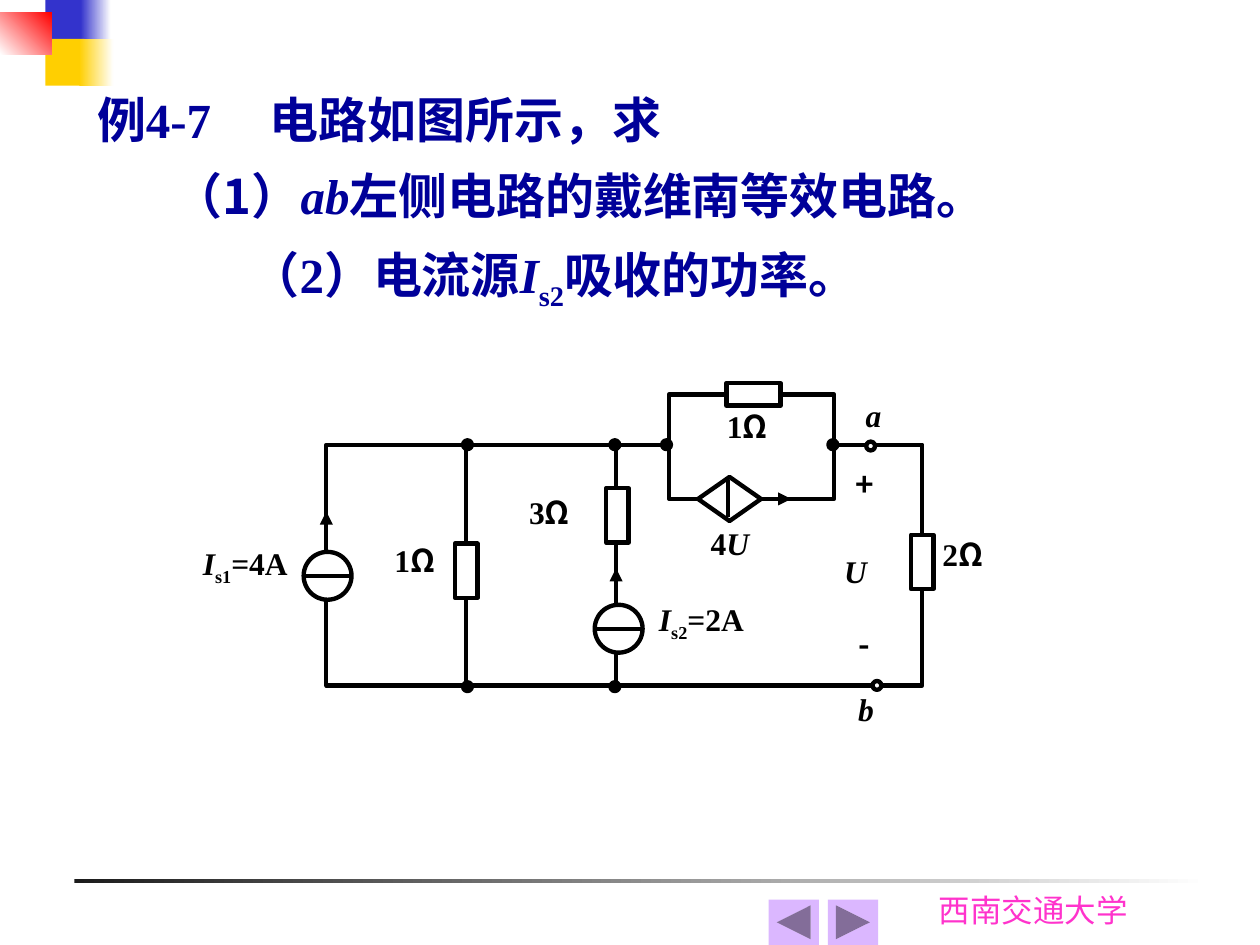
import pptx
import pptx.util
import pptx.dml.color
import pptx.enum.shapes
import pptx.enum.text
import pptx.oxml.ns
from lxml import etree

Inches, Pt = pptx.util.Inches, pptx.util.Pt
SHAPE = pptx.enum.shapes.MSO_SHAPE
ALIGN = pptx.enum.text.PP_ALIGN

COLORS = {"black": "000000", "white": "FFFFFF", "navy": "000099", "pink": "FF33CC",
          "blue": "3333CC", "gold": "FFCF01", "red": "FF0000", "charcoal": "1C1C1C",
          "lilac": "DBB7FF"}
TIMES, CJK = "Times New Roman", "Noto Sans CJK SC"
LINE_WIDTH = 2.5

# Styles of a text run: font, italic, subscript
STYLES = {"n": (TIMES, False, False), "i": (TIMES, True, False),
          "s": (TIMES, False, True), "c": (CJK, False, False)}

INDENT, TAB = 0.61, 1.37
PROBLEM = [
    [("c", "例"), ("n", "4-7\t电路如图所示，"), ("c", "求")],
    [("c", "（1）"), ("i", "ab"), ("n", "左侧电路的戴维南等效电路。")],
    [("n", "（2）电流源"), ("i", "I"), ("s", "s2"), ("n", "吸收的功率。")],
]
FOOTER = "西南交通大学"

# Decoration: left, top, width, height, colours (two make a gradient), angle
DECORATION = [
    (0.59, 6.98, 9, 0.03, ("charcoal", "white"), 0),
    (0.36, 0, 0.32, 0.37, ("blue",), 0),
    (0.64, 0, 0.24, 0.37, ("blue", "white"), 0),
    (0.36, 0.31, 0.31, 0.37, ("gold",), 0),
    (0.63, 0.31, 0.27, 0.37, ("gold", "white"), 0),
    (0, 0.1, 0.41, 0.33, ("white", "red"), 45),
]

# Circuit columns and rows
SOURCE_1, BRANCH_1, BRANCH_2, BRIDGE_L, BRIDGE_R, LOAD = 2.59, 3.7, 4.89, 5.31, 6.62, 7.32
TOP, BOTTOM, BRIDGE_TOP, BRIDGE_BOTTOM = 3.53, 5.44, 3.13, 3.96
BRIDGE_MID = 5.98

LOOPS = [(SOURCE_1, TOP, BRANCH_2, BOTTOM), (BRANCH_2, TOP, LOAD, BOTTOM),
         (BRIDGE_L, BRIDGE_TOP, BRIDGE_R, BRIDGE_BOTTOM)]
RESISTOR, SOURCE, NODE = (0.18, 0.43), (0.38, 0.38), (0.07, 0.07)
# Parts: shape, centre x, centre y, size, fill
PARTS = [
    *[(SHAPE.RECTANGLE, x, y, RESISTOR, "white")
      for x, y in [(BRANCH_1, 4.53), (BRANCH_2 + 0.01, 4.09), (LOAD, 4.46)]],
    (SHAPE.RECTANGLE, BRIDGE_MID, BRIDGE_TOP, RESISTOR[::-1], "white"),
    *[(SHAPE.OVAL, x, y, SOURCE, "white") for x, y in [(2.6, 4.57), (4.91, 4.99)]],
    (SHAPE.DIAMOND, 5.79, BRIDGE_BOTTOM, (0.5, 0.35), "white"),
    *[(SHAPE.OVAL, x, y, NODE, "black")
      for x in (3.71, 4.88) for y in (TOP, 5.45)],
    *[(SHAPE.OVAL, x, TOP, NODE, "black") for x in (5.29, 6.61)],
    *[(SHAPE.OVAL, x, y, NODE, "white") for x, y in [(6.91, 3.54), (6.96, BOTTOM)]],
]
BARS = [(2.42, 4.57, 2.8, 4.57), (4.73, 4.99, 5.11, 4.99), (5.78, 4.1, 5.78, 3.81)]
ARROWS = [(SOURCE_1, 4.25, SOURCE_1, 4.06), (BRANCH_2, 4.71, BRANCH_2, 4.51),
          (6.02, BRIDGE_BOTTOM, 6.28, BRIDGE_BOTTOM)]
# Labels: left, top, width, height, runs
LABELS = [
    (1.61, 4.32, 0.97, 0.59, [("i", "I"), ("s", "s1"), ("n", "=4A")]),
    (5.23, 4.76, 0.97, 0.59, [("i", "I"), ("s", "s2"), ("n", "=2A")]),
    *[(x, y, 0.54, 0.4, [("n", ohms), ("c", "Ω")])
      for x, y, ohms in [(3.13, 4.29, "1"), (7.48, 4.25, "2"),
                         (4.2, 3.91, "3"), (5.77, 3.23, "1")]],
    (5.64, 4.16, 0.62, 0.53, [("n", "4"), ("i", "U")]),
    (6.7, 4.38, 0.62, 0.53, [("i", "U")]),
    (6.87, 3.14, 0.36, 0.66, [("i", "a")]),
    (6.81, 5.48, 0.35, 0.49, [("i", "b")]),
    (6.79, 3.69, 0.29, 0.4, [("c", "+")]),
    (6.81, 4.96, 0.45, 0.39, [("c", "-")]),
]
BUTTONS = [(6.1, SHAPE.ACTION_BUTTON_BACK_OR_PREVIOUS),
           (6.57, SHAPE.ACTION_BUTTON_FORWARD_OR_NEXT)]


def rgb(name):
    return pptx.dml.color.RGBColor.from_string(COLORS[name])


def add_element(parent, tag, **attributes):
    return etree.SubElement(parent, pptx.oxml.ns.qn(tag), attributes)


def add_part(page, kind, left, top, width, height, fill=None, outlined=True):
    shape = page.shapes.add_shape(kind, *map(Inches, (left, top, width, height)))
    shape.shadow.inherit = False
    if fill:
        shape.fill.solid()
        shape.fill.fore_color.rgb = rgb(fill)
    else:
        shape.fill.background()
    if outlined:
        shape.line.color.rgb = rgb("black")
        shape.line.width = Pt(LINE_WIDTH)
    else:
        shape.line.fill.background()
    return shape


def add_wire(page, ends, arrow=False):
    wire = page.shapes.add_connector(pptx.enum.shapes.MSO_CONNECTOR.STRAIGHT,
                                     *map(Inches, ends))
    wire.line.color.rgb = rgb("black")
    wire.line.width = Pt(LINE_WIDTH)
    if arrow:
        add_element(wire.line._get_or_add_ln(), "a:tailEnd", type="triangle")
    add_element(wire._element.spPr, "a:effectLst")


def write_runs(para, runs, size, color, bold=True):
    para.font.size = Pt(size)
    para.font.bold = bold
    para.font.color.rgb = rgb(color)
    for style, text in runs:
        span = para.add_run()
        span.text = text
        font, italic, subscript = STYLES[style]
        span.font.name = font
        span.font.italic = italic
        properties = span.font._element
        add_element(properties, "a:ea", typeface=CJK)
        if subscript:
            properties.set("baseline", "-25000")


def add_text_box(page, left, top, width, height, inset=True):
    box = page.shapes.add_textbox(*map(Inches, (left, top, width, height)))
    frame = box.text_frame
    frame.word_wrap = True
    if not inset:
        frame.margin_left = frame.margin_right = 0
        frame.margin_top = frame.margin_bottom = 0
    return frame.paragraphs[0]


def add_decoration(page):
    for left, top, width, height, colors, angle in DECORATION:
        shape = add_part(page, SHAPE.RECTANGLE, left, top, width, height,
                         colors[0], outlined=False)
        if len(colors) == 2:
            shape.fill.gradient()
            shape.fill.gradient_angle = angle
            for stop, color in zip(shape.fill.gradient_stops, colors):
                stop.color.rgb = rgb(color)
    para = add_text_box(page, 7.35, 7.02, 1.81, 0.4)
    para.font.name = "Karla"
    para.font.size = Pt(18)
    para.font.color.rgb = rgb("pink")
    para.add_run().text = FOOTER


def write_problem(title):
    title.left, title.top, title.width, title.height = map(Inches, (0.67, 0.52, 8.35, 2.01))
    frame = title.text_frame
    frame.vertical_anchor = pptx.enum.text.MSO_ANCHOR.TOP
    frame.auto_size = pptx.enum.text.MSO_AUTO_SIZE.NONE
    for row, runs in enumerate(PROBLEM):
        para = frame.add_paragraph() if row else frame.paragraphs[0]
        para.alignment = ALIGN.JUSTIFY
        para.line_spacing = 1.3
        properties = para._p.get_or_add_pPr()
        properties.set("marL", str(Inches(INDENT * row)))
        if row == 0:
            tabs = add_element(properties, "a:tabLst")
            add_element(tabs, "a:tab", pos=str(Inches(TAB)), algn="l")
        write_runs(para, runs, 28, "navy")


def draw_circuit(page):
    for left, top, right, bottom in LOOPS:
        add_part(page, SHAPE.RECTANGLE, left, top, right - left, bottom - top,
                 "white" if left == BRIDGE_L else None)
    add_wire(page, (BRANCH_1, TOP, BRANCH_1, BOTTOM))
    for kind, x, y, (width, height), fill in PARTS:
        add_part(page, kind, x - width / 2, y - height / 2, width, height, fill)
    for ends in BARS:
        add_wire(page, ends)
    for ends in ARROWS:
        add_wire(page, ends, arrow=True)
    for left, top, width, height, runs in LABELS:
        para = add_text_box(page, left, top, width, height, inset=False)
        para.alignment = ALIGN.JUSTIFY
        write_runs(para, runs, 18, "black")


def main():
    deck = pptx.Presentation()
    deck.slide_width, deck.slide_height = Inches(10), Inches(7.5)
    page = deck.slides.add_slide(deck.slide_layouts[5])
    add_decoration(page)
    write_problem(page.shapes.title)
    draw_circuit(page)
    for left, kind in BUTTONS:
        add_part(page, kind, left, 7.14, 0.4, 0.36, "lilac", outlined=False)
    deck.save("out.pptx")


if __name__ == "__main__":
    main()
